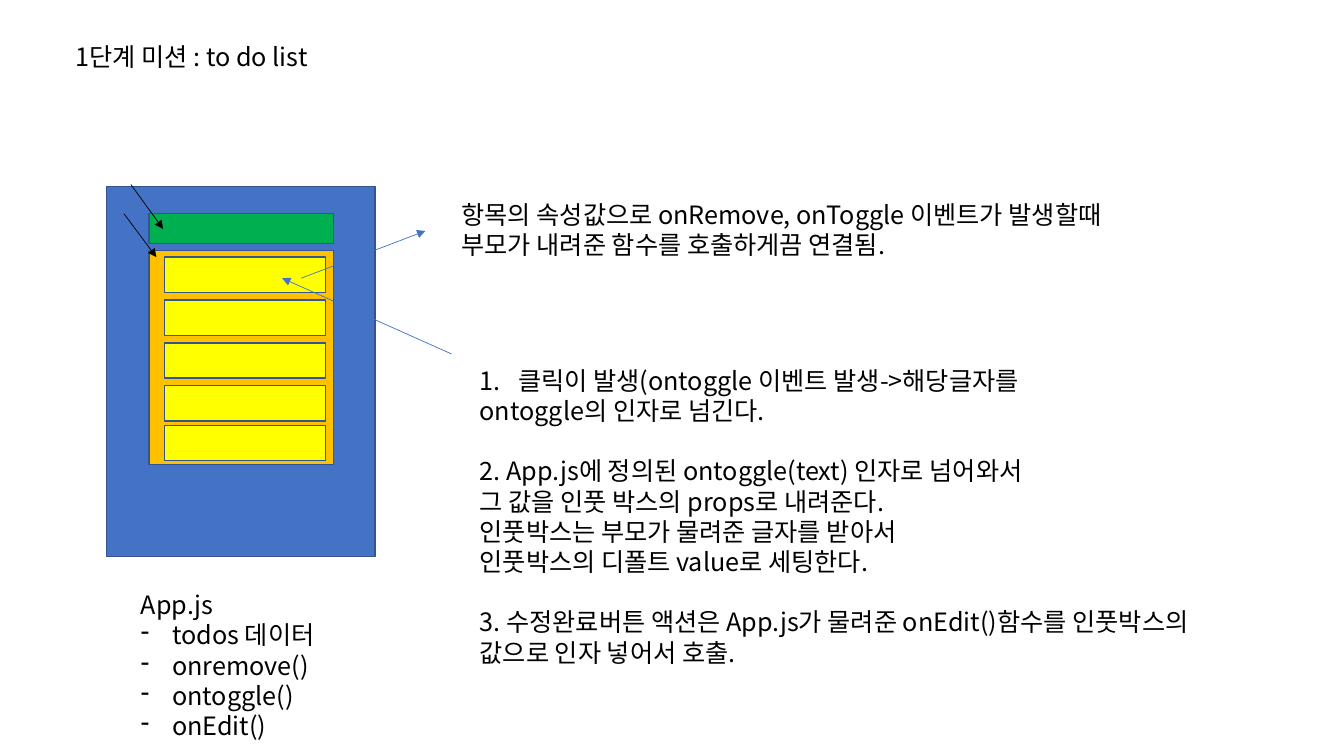
from lxml import etree
from pptx import Presentation
from pptx.dml.color import RGBColor
from pptx.enum.shapes import MSO_CONNECTOR as CONN, MSO_SHAPE as SHAPE
from pptx.enum.text import MSO_ANCHOR as ANCHOR, PP_ALIGN as ALIGN
from pptx.oxml.ns import qn
from pptx.util import Cm, Pt

COLORS = {"text": "000000", "app": "4472C4", "edge": "325491", "list": "FFC000",
          "item": "FFFF00", "input": "00B050"}


class Builder:
    font, size, leading = "Noto Sans CJK KR", Pt(18), Pt(21.6)

    def __init__(self, slide):
        self.s = slide

    def color(self, name):
        return RGBColor.from_string(COLORS[name])

    def fill_text(self, sp, lines):
        """Each line is (text, bullet, indent in cm, gap above in points)."""
        tf = sp.text_frame
        tf.word_wrap = True
        tf.vertical_anchor = ANCHOR.TOP
        for i, (text, bullet, indent, gap) in enumerate(lines):
            p = tf.paragraphs[0] if i == 0 else tf.add_paragraph()
            p.alignment = ALIGN.LEFT
            p.line_spacing, p.space_before = self.leading, Pt(gap)
            if bullet:
                pPr = p._p.get_or_add_pPr()
                pPr.set("marL", str(Cm(indent)))
                pPr.set("indent", str(-Cm(indent)))
                tag, key = ("a:buChar", "char") if bullet == "-" else ("a:buAutoNum", "type")
                etree.SubElement(pPr, qn(tag)).set(key, bullet)
            r = p.add_run()
            r.text = text
            r.font.name, r.font.size = self.font, self.size
            r.font.color.rgb = self.color("text")
            ea = etree.SubElement(r._r.get_or_add_rPr(), qn("a:ea"))
            ea.set("typeface", self.font)

    def title(self, text, x, y, w, h):
        sp = self.s.shapes.title
        sp.left, sp.top, sp.width, sp.height = Cm(x), Cm(y), Cm(w), Cm(h)
        self.fill_text(sp, [(text, None, 0, 0)])

    def text(self, lines, x, y, w, h):
        sp = self.s.shapes.add_textbox(Cm(x), Cm(y), Cm(w), Cm(h))
        self.fill_text(sp, lines)

    def box(self, fill, x, y, w, h):
        sp = self.s.shapes.add_shape(SHAPE.RECTANGLE, Cm(x), Cm(y), Cm(w), Cm(h))
        sp.shadow.inherit = False
        sp.fill.solid()
        sp.fill.fore_color.rgb = self.color(fill)
        sp.line.color.rgb = self.color("edge")
        sp.line.width = Pt(1)

    def arrow(self, color, x1, y1, x2, y2):
        c = self.s.shapes.add_connector(CONN.STRAIGHT, Cm(x1), Cm(y1), Cm(x2), Cm(y2))
        c.line.color.rgb = self.color(color)
        c.line.width = Pt(0.5)
        etree.SubElement(c.line._get_or_add_ln(), qn("a:tailEnd")).set("type", "triangle")
        etree.SubElement(c._element.spPr, qn("a:effectLst"))


def plain(*texts):
    return [(t, None, 0, 0) for t in texts]


prs = Presentation()
prs.slide_width, prs.slide_height = Cm(33.87), Cm(19.05)
b = Builder(prs.slides.add_slide(prs.slide_layouts[5]))

# Title
b.title("1단계 미션 : to do list", 1.65, 0.91, 7.11, 1.02)

# App frame and its members
b.box("app", 2.69, 4.7, 6.76, 9.32)
members = ["todos 데이터", "onremove()", "ontoggle()", "onEdit()"]
b.text(plain("App.js") + [(m, "-", 0.79, 0) for m in members], 3.3, 14.73, 5.11, 4.11)

# Todo list with its items
b.box("list", 3.76, 6.32, 4.65, 5.38)
for top in (6.48, 7.56, 8.64, 9.72, 10.72):
    b.box("item", 4.14, top, 4.06, 0.89)
b.arrow("text", 3.12, 5.38, 3.94, 6.48)

# Note on the item's events
b.arrow("app", 7.59, 7.01, 10.72, 5.82)
b.text(plain("항목의 속성값으로 onRemove, onToggle 이벤트가 발생할때",
             "부모가 내려준 함수를 호출하게끔 연결됨."), 11.38, 4.9, 17.81, 2.57)

# Steps of an edit
b.arrow("app", 11.38, 8.92, 7.11, 7.01)
b.text([("클릭이 발생(ontoggle 이벤트 발생->해당글자를", "arabicPeriod", 0.97, 0),
        *plain("ontoggle의 인자로 넘긴다."),
        ("2. App.js에 정의된 ontoggle(text) 인자로 넘어와서", None, 0, 21.6),
        *plain("그 값을 인풋 박스의 props로 내려준다.",
               "인풋박스는 부모가 물려준 글자를 받아서",
               "인풋박스의 디폴트 value로 세팅한다."),
        ("3. 수정완료버튼 액션은 App.js가 물려준 onEdit()함수를 인풋박스의", None, 0, 21.6),
        *plain("값으로 인자 넣어서 호출.")], 11.84, 9.07, 19.84, 7.95)

# Input box
b.box("input", 3.76, 5.38, 4.65, 0.76)
b.arrow("text", 3.3, 4.65, 4.11, 5.77)

prs.save("out.pptx")
